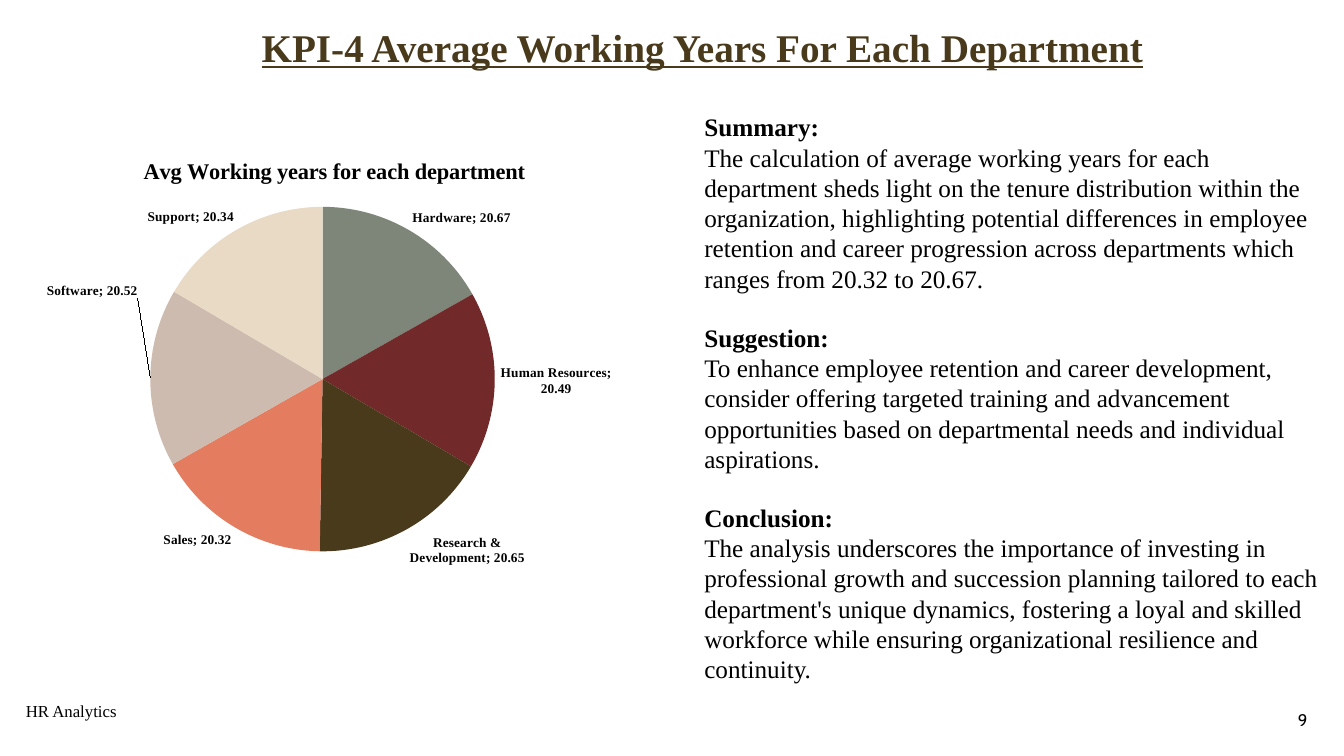
import pptx
import pptx.chart.data
import pptx.dml.color
import pptx.enum.chart
import pptx.enum.text
import pptx.util
from lxml import etree
from pptx.oxml.ns import qn

Cm = pptx.util.Cm
Pt = pptx.util.Pt
Align = pptx.enum.text.PP_ALIGN
Anchor = pptx.enum.text.MSO_ANCHOR
LabelPosition = pptx.enum.chart.XL_LABEL_POSITION

COLOURS = {"text": "000000", "title": "4A3A1C"}

DEPARTMENTS = [
    ("Hardware", 20.67, "7E8679"),
    ("Human Resources", 20.49, "72292A"),
    ("Research & Development", 20.65, "4A3A1C"),
    ("Sales", 20.32, "E47D60"),
    ("Software", 20.52, "CEBBAF"),
    ("Support", 20.34, "E8DAC4"),
]

FINDINGS = [
    ("Summary:",
     "The calculation of average working years for each department sheds light on the "
     "tenure distribution within the organization, highlighting potential differences in "
     "employee retention and career progression across departments which ranges from "
     "20.32 to 20.67."),
    ("Suggestion:",
     "To enhance employee retention and career development, consider offering targeted "
     "training and advancement opportunities based on departmental needs and individual "
     "aspirations."),
    ("Conclusion:",
     "The analysis underscores the importance of investing in professional growth and "
     "succession planning tailored to each department's unique dynamics, fostering a loyal "
     "and skilled workforce while ensuring organizational resilience and continuity."),
]


def rgb(value):
    return pptx.dml.color.RGBColor.from_string(value)


def place(parent, index, **fractions):
    """Give a chart part a manual layout, in fractions of the chart."""
    for old in parent.findall(qn("c:layout")):
        parent.remove(old)
    layout = etree.Element(qn("c:layout"))
    manual = etree.SubElement(layout, qn("c:manualLayout"))
    for name, value in fractions.items():
        etree.SubElement(manual, qn("c:" + name), val=str(value))
    parent.insert(index, layout)


class Page:
    """Holds the style and the slide being filled."""

    font = "Times New Roman"

    def __init__(self, deck):
        self.slide = deck.slides.add_slide(deck.slide_layouts[6])

    def style(self, font, size, bold=False, colour="text", name=None):
        font.name = name or self.font
        font.size = Pt(size)
        font.bold = bold
        font.color.rgb = rgb(COLOURS[colour])

    def box(self, left, top, width, height, anchor=Anchor.MIDDLE):
        box = self.slide.shapes.add_textbox(Cm(left), Cm(top), Cm(width), Cm(height))
        box.text_frame.word_wrap = True
        box.text_frame.vertical_anchor = anchor
        return box.text_frame

    def line(self, frame, text, size, align=Align.LEFT, **style):
        """A box with one line of text."""
        frame.text = text
        para = frame.paragraphs[0]
        para.alignment = align
        self.style(para.runs[0].font, size, **style)
        return para

    def sections(self, frame, sections, size):
        """Bold headings, each followed by its plain paragraph."""
        lines = [line for section in sections for line in section]
        frame.text = "\n".join(lines)
        for number, para in enumerate(frame.paragraphs):
            heading = number % 2 == 0
            self.style(para.runs[0].font, size, bold=heading)
            if heading and number:
                para.space_before = Pt(size * 1.15)

    def pie(self, left, top, width, height, title, slices):
        data = pptx.chart.data.CategoryChartData(number_format="0.00")
        data.categories = [name for name, value, colour in slices]
        data.add_series("Series 1", [value for name, value, colour in slices])
        chart = self.slide.shapes.add_chart(
            pptx.enum.chart.XL_CHART_TYPE.PIE,
            Cm(left), Cm(top), Cm(width), Cm(height), data).chart
        chart.has_legend = False
        self.style(chart.font, 10, name="Cabin")
        chart.has_title = True
        self.line(chart.chart_title.text_frame, title, 16, Align.CENTER, bold=True)
        series = chart.plots[0].series[0]
        for number, (name, value, colour) in enumerate(slices):
            fill = series.points[number].format.fill
            fill.solid()
            fill.fore_color.rgb = rgb(colour)
        labels = series.data_labels
        labels.show_value = labels.show_category_name = True
        labels.number_format = "0.00"
        labels.number_format_is_linked = False
        labels.position = LabelPosition.OUTSIDE_END
        self.style(labels.font, 9.5, bold=True)
        return chart

    def move_label(self, chart, number, x, y):
        """Shift one slice label by fractions of the chart."""
        series = chart.plots[0].series[0]
        label = series.points[number].data_label
        self.style(label.font, 9.5, bold=True)
        label.position = LabelPosition.OUTSIDE_END
        element = series.data_labels._element.find(qn("c:dLbl"))
        element.find(qn("c:showCatName")).set("val", "1")
        place(element, 1, x=x, y=y)
        number_format = etree.Element(qn("c:numFmt"), formatCode="0.00", sourceLinked="0")
        element.insert(2, number_format)


def main():
    deck = pptx.Presentation()
    deck.slide_width, deck.slide_height = Cm(33.87), Cm(19.05)
    page = Page(deck)

    page.line(page.box(0.4, 17.4, 11.43, 1), "HR Analytics", 12)
    page.line(page.box(25.58, 17.65, 7.62, 1), "9", 12, Align.RIGHT, name="Cabin")
    title = page.line(page.box(6.12, 0.64, 23.16, 1.22),
                      "KPI-4 Average Working Years For Each Department",
                      28, Align.CENTER, bold=True, colour="title")
    title.line_spacing = 0.9
    title.runs[0].font.underline = True

    chart = page.pie(0, 3.38, 16.76, 11.53,
                     "Avg Working years for each department", DEPARTMENTS)
    place(chart.chart_title._element, 1, xMode="edge", yMode="edge", x=0.21, y=0.04)
    plot_area = chart._chartSpace.chart.plotArea
    place(plot_area, 0, layoutTarget="inner", xMode="edge", yMode="edge",
          x=0.226, y=0.159, w=0.518, h=0.753)
    page.move_label(chart, 4, -0.01, -0.19)

    page.sections(page.box(17.5, 2.69, 16.15, 14.88, Anchor.TOP), FINDINGS, 18)
    deck.save("out.pptx")


if __name__ == "__main__":
    main()
